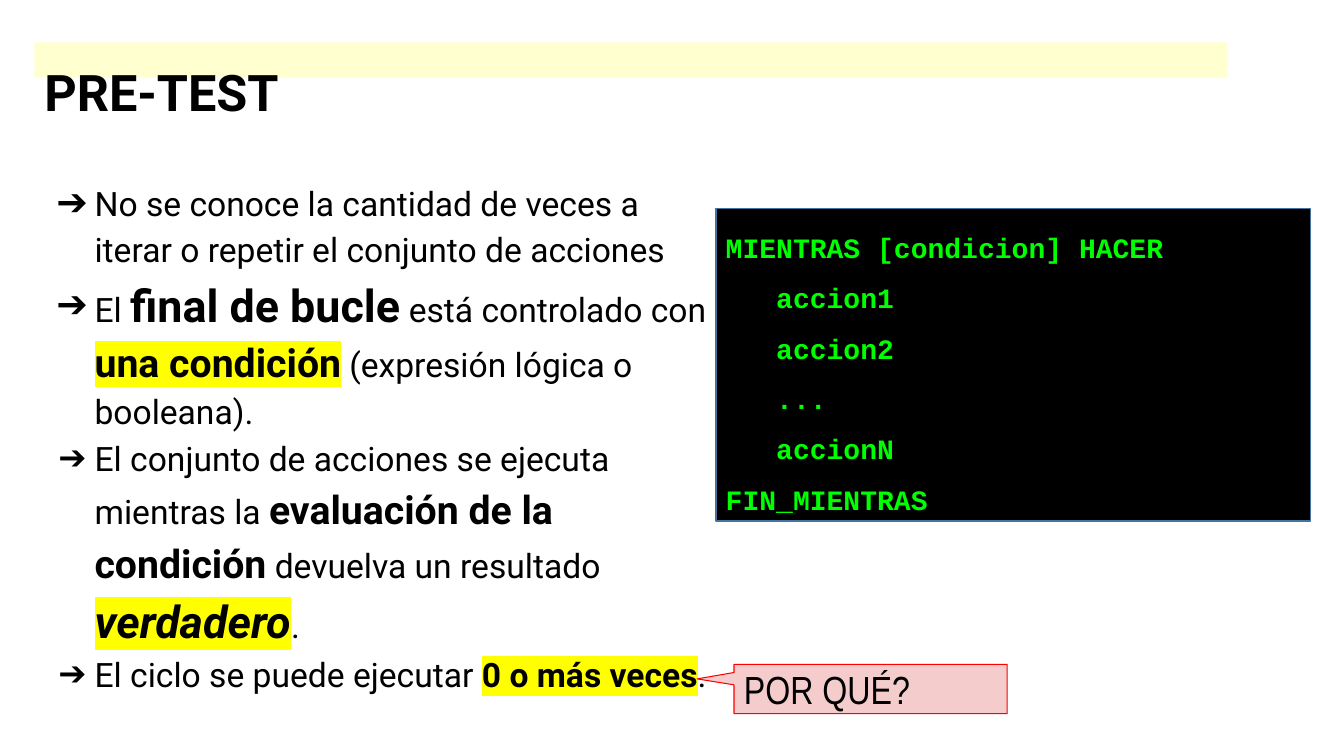
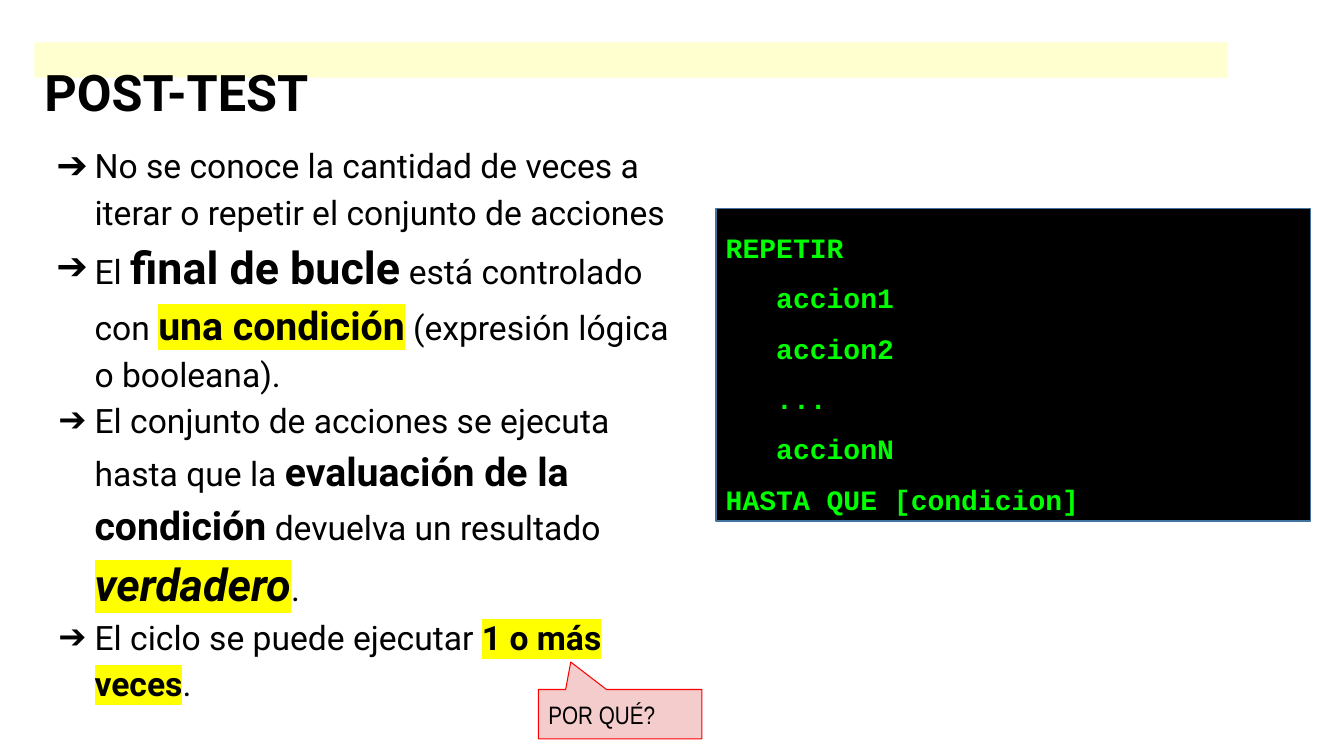
from dataclasses import dataclass

import pptx
import pptx.dml.color
import pptx.enum.shapes
import pptx.enum.text
import pptx.oxml.ns
import pptx.util
from lxml import etree

PX = 9144  # EMU per px, 100 px to the inch
INSET = 10
COLORS = {
    "text": "000000", "band": "FFFF00", "mark": "FFFF00",
    "code_bg": "000000", "code": "00FF00", "code_line": "43739E",
    "callout": "F4CCCC", "callout_line": "FF0000",
}
BODY_FONT, CODE_FONT, CALLOUT_FONT = "Roboto", "Courier New", "Arial Narrow"
ANCHOR = pptx.enum.text.MSO_ANCHOR
SHAPE = pptx.enum.shapes.MSO_SHAPE


@dataclass(frozen=True)
class Box:
    x: int
    y: int
    w: int
    h: int

    def emu(self) -> tuple[int, int, int, int]:
        return self.x * PX, self.y * PX, self.w * PX, self.h * PX


@dataclass(frozen=True)
class Span:
    text: str
    size: int = 24
    bold: bool = False
    italic: bool = False
    marked: bool = False


@dataclass(frozen=True)
class Bullet:
    spans: list[Span]
    hang: int = 36
    percent: int = 100


@dataclass(frozen=True)
class Callout:
    box: Box
    tip: tuple[float, float]
    size: int


@dataclass(frozen=True)
class LoopSlide:
    title: str
    body: Box
    until: str
    times: str
    first_line: str
    last_line: str
    callout: Callout


BAND = Box(34, 42, 1183, 35)
CODE = Box(710, 207, 590, 310)
LOOPS = [
    LoopSlide("PRE-TEST", Box(34, 156, 694, 552), "mientras", "0 o más veces",
              "MIENTRAS [condicion] HACER", "FIN_MIENTRAS",
              Callout(Box(728, 659, 271, 49), (-0.635, -0.204), 28)),
    LoopSlide("POST-TEST", Box(34, 128, 650, 580), "hasta que", "1 o más veces",
              "REPETIR", "HASTA QUE [condicion]",
              Callout(Box(534, 684, 162, 49), (-0.302, -1.056), 18)),
]


def rgb(name: str) -> pptx.dml.color.RGBColor:
    return pptx.dml.color.RGBColor.from_string(COLORS[name])


def sub(parent, tag: str, **attrs: str):
    return etree.SubElement(parent, pptx.oxml.ns.qn(tag), attrs)


def setup_frame(tf, anchor, inset_y: int = INSET) -> None:
    tf.word_wrap = True
    tf.auto_size = pptx.enum.text.MSO_AUTO_SIZE.NONE
    tf.vertical_anchor = anchor
    tf.margin_left = tf.margin_right = INSET * PX
    tf.margin_top = tf.margin_bottom = inset_y * PX


def add_paragraph(tf, first: bool, spacing: float = 1.0):
    p = tf.paragraphs[0] if first else tf.add_paragraph()
    p.alignment = pptx.enum.text.PP_ALIGN.LEFT
    p.line_spacing = spacing
    return p


def add_run(p, span: Span, font: str = BODY_FONT, color: str = "text") -> None:
    r = p.add_run()
    r.text = span.text
    r.font.size = pptx.util.Pt(span.size)
    r.font.bold, r.font.italic = span.bold, span.italic
    r.font.color.rgb = rgb(color)
    if span.marked:
        fill = r.font._element.find(pptx.oxml.ns.qn("a:solidFill"))
        mark = etree.Element(pptx.oxml.ns.qn("a:highlight"))
        sub(mark, "a:srgbClr", val=COLORS["mark"])
        fill.addnext(mark)
    r.font.name = font


def add_panel(slide, kind, box: Box, fill: str, line: str, width: float):
    sp = slide.shapes.add_shape(kind, *box.emu())
    sp.shadow.inherit = False
    sp.fill.solid()
    sp.fill.fore_color.rgb = rgb(fill)
    sp.line.color.rgb = rgb(line)
    sp.line.width = pptx.util.Pt(width)
    return sp


def format_title(slide, text: str) -> None:
    """The title placeholder is also the translucent band."""
    sp = slide.shapes.title
    sp.left, sp.top, sp.width, sp.height = BAND.emu()
    sp.fill.solid()
    sp.fill.fore_color.rgb = rgb("band")
    clr = sp._element.spPr.find(".//" + pptx.oxml.ns.qn("a:srgbClr"))
    sub(clr, "a:alpha", val="19000")
    setup_frame(sp.text_frame, ANCHOR.TOP)
    add_run(add_paragraph(sp.text_frame, True, 1.15), Span(text, 36, bold=True))


def loop_bullets(loop: LoopSlide) -> list[Bullet]:
    return [
        Bullet([Span("No se conoce la cantidad de veces a iterar o repetir "
                     "el conjunto de acciones")], 38, 112),
        Bullet([Span("El "), Span("final de bucle", 32, bold=True),
                Span(" está controlado con "),
                Span("una condición", 28, bold=True, marked=True),
                Span(" (expresión lógica o booleana).")], 38, 112),
        Bullet([Span(f"El conjunto de acciones se ejecuta {loop.until} la "),
                Span("evaluación de la condición", 28, bold=True),
                Span(" devuelva un resultado "),
                Span("verdadero", 32, bold=True, italic=True, marked=True),
                Span(".")]),
        Bullet([Span("El ciclo se puede ejecutar "),
                Span(loop.times, bold=True, marked=True), Span(".")]),
    ]


def add_bullets(slide, box: Box, bullets: list[Bullet]) -> None:
    tf = slide.shapes.add_textbox(*box.emu()).text_frame
    setup_frame(tf, ANCHOR.MIDDLE)
    for i, bullet in enumerate(bullets):
        p = add_paragraph(tf, i == 0, 1.15)
        pPr = p._p.get_or_add_pPr()
        pPr.set("marL", str(50 * PX))
        pPr.set("indent", str(-bullet.hang * PX))
        sub(pPr, "a:buSzPct", val=str(bullet.percent * 1000))
        sub(pPr, "a:buFont", typeface=BODY_FONT)
        sub(pPr, "a:buChar", char="➔")
        for span in bullet.spans:
            add_run(p, span)


def add_callout(slide, callout: Callout) -> None:
    sp = add_panel(slide, SHAPE.ROUNDED_RECTANGULAR_CALLOUT, callout.box,
                   "callout", "callout_line", 0.75)
    for i, value in enumerate((*callout.tip, 0)):
        sp.adjustments[i] = value
    setup_frame(sp.text_frame, ANCHOR.MIDDLE)
    add_run(add_paragraph(sp.text_frame, True), Span("POR QUÉ?", callout.size),
            CALLOUT_FONT)


def add_code(slide, lines: list[str]) -> None:
    sp = add_panel(slide, SHAPE.RECTANGLE, CODE, "code_bg", "code_line", 1)
    setup_frame(sp.text_frame, ANCHOR.TOP, 5)
    for i, line in enumerate(lines):
        add_run(add_paragraph(sp.text_frame, i == 0, 1.5),
                Span(line, 20, bold=True), CODE_FONT, "code")


def main() -> None:
    prs = pptx.Presentation()
    prs.slide_width, prs.slide_height = 1333 * PX, 750 * PX
    title_only = prs.slide_layouts[5]
    actions = [f"   {name}" for name in ("accion1", "accion2", "...", "accionN")]
    for loop in LOOPS:
        slide = prs.slides.add_slide(title_only)
        format_title(slide, loop.title)
        add_bullets(slide, loop.body, loop_bullets(loop))
        add_callout(slide, loop.callout)
        add_code(slide, [loop.first_line, *actions, loop.last_line])
    prs.save("out.pptx")


if __name__ == "__main__":
    main()
